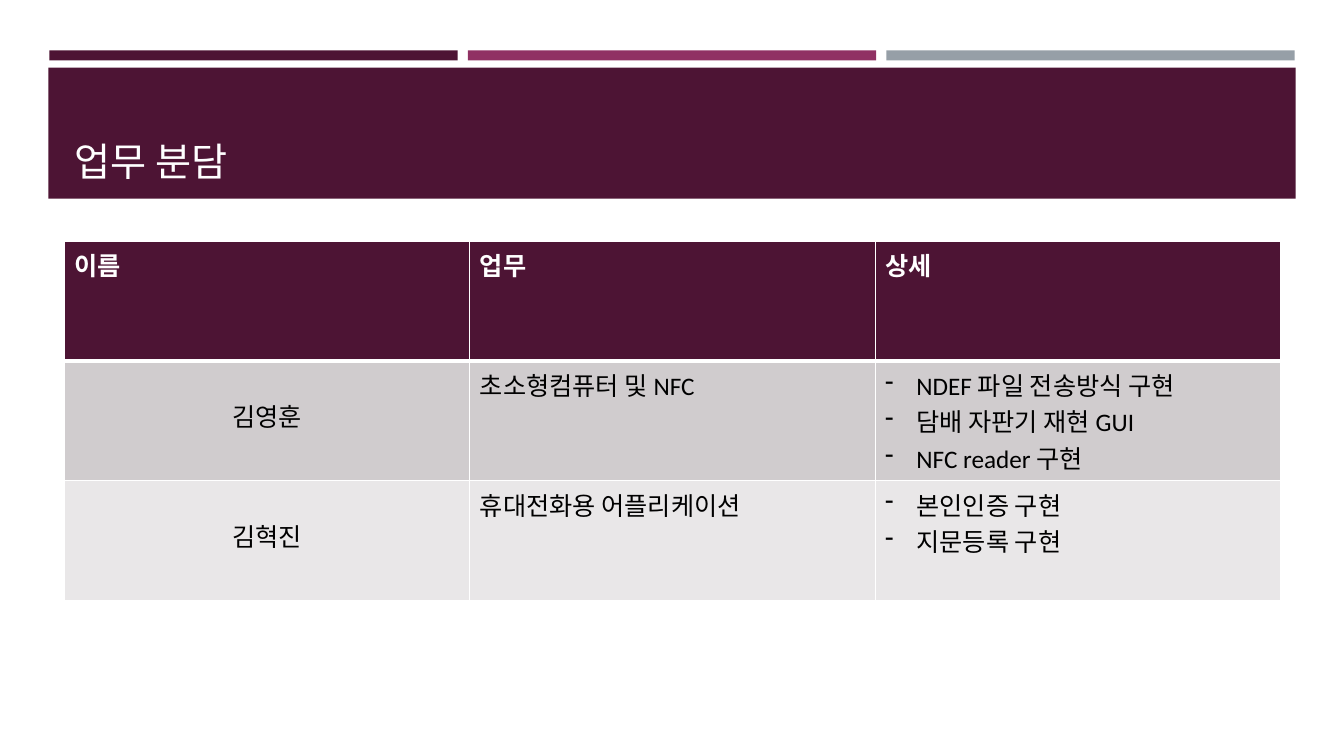
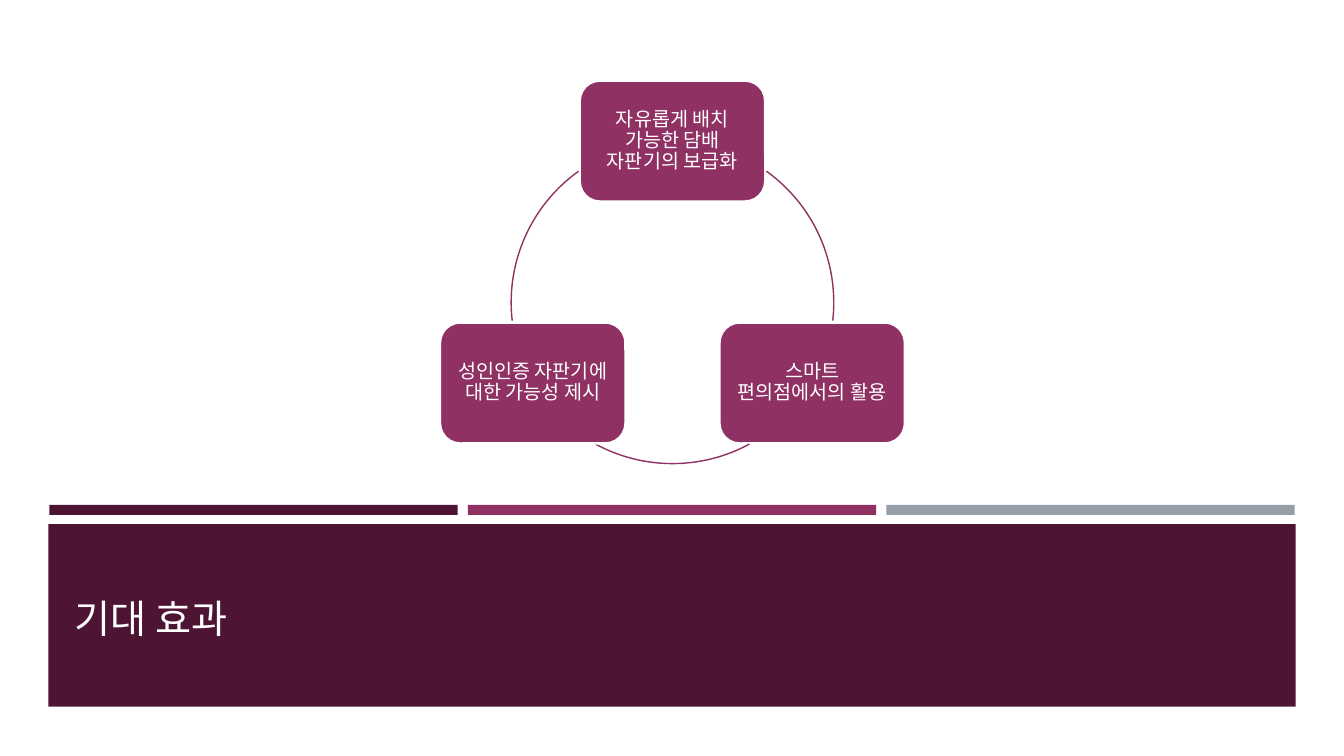
from dataclasses import dataclass
from math import cos, radians, sin

from lxml.etree import SubElement
from pptx import Presentation
from pptx.dml.color import RGBColor
from pptx.enum.shapes import MSO_SHAPE as Preset
from pptx.enum.text import MSO_ANCHOR as Anchor, MSO_AUTO_SIZE as AutoSize, PP_ALIGN as Align
from pptx.oxml.ns import qn
from pptx.util import Inches, Pt

COLORS = {
    "plum": "4D1434",
    "berry": "903163",
    "steel": "969FA7",
    "white": "FFFFFF",
    "black": "000000",
    "row_dark": "D0CCCE",
    "row_light": "E9E7E8",
}
FONT = "Calibri"
TITLE_ONLY = 5
MARGIN = 0.64
CONTENT_WIDTH = 12.06


@dataclass(frozen=True)
class Duty:
    name: str
    task: str
    details: tuple[str, ...]
    fill: str


@dataclass(frozen=True)
class Effect:
    text: str
    angle: float
    arc_start: float
    arc_end: float


DUTIES = (
    Duty("김영훈", "초소형컴퓨터 및 NFC",
         ("NDEF 파일 전송방식 구현", "담배 자판기 재현 GUI", "NFC reader 구현"), "row_dark"),
    Duty("김혁진", "휴대전화용 어플리케이션",
         ("본인인증 구현", "지문등록 구현"), "row_light"),
)
EFFECTS = (
    Effect("자유롭게 배치 가능한 담배 자판기의 보급화", -90, 305.6, 6.5),
    Effect("스마트 편의점에서의 활용", 30, 61.5, 118.5),
    Effect("성인인증 자판기에 대한 가능성 제시", 150, 173.5, 234.4),
)


def rgb(name: str) -> RGBColor:
    return RGBColor.from_string(COLORS[name])


def write(frame, *lines: str, size: float, color: str, bold: bool = False,
          align=Align.LEFT, spacing: float = 1.0, bullet: str = "") -> None:
    frame.word_wrap = True
    for index, line in enumerate(lines):
        para = frame.paragraphs[0] if index == 0 else frame.add_paragraph()
        para.alignment = align
        para.line_spacing = spacing
        if bullet:
            props = para._p.get_or_add_pPr()
            props.set("marL", str(Inches(0.31)))
            props.set("indent", str(-Inches(0.31)))
            SubElement(props, qn("a:buFontTx"))
            SubElement(props, qn("a:buChar"), char=bullet)
        span = para.add_run()
        span.text = line
        span.font.name = FONT
        span.font.size = Pt(size)
        span.font.bold = bold
        span.font.color.rgb = rgb(color)


def add_shape(page, preset, left: float, top: float, width: float, height: float,
              fill: str = "", line: str = "", weight: float = 1):
    shape = page.shapes.add_shape(
        preset, Inches(left), Inches(top), Inches(width), Inches(height))
    shape.shadow.inherit = False
    if fill:
        shape.fill.solid()
        shape.fill.fore_color.rgb = rgb(fill)
    else:
        shape.fill.background()
    if line:
        shape.line.color.rgb = rgb(line)
        shape.line.width = Pt(weight)
    else:
        shape.line.fill.background()
    return shape


def add_page(deck, title: str, bar_top: float, band_top: float, band_height: float):
    page = deck.slides.add_slide(deck.slide_layouts[TITLE_ONLY])
    for column, color in enumerate(("plum", "berry", "steel")):
        add_shape(page, Preset.RECTANGLE, 0.49 + 4.15 * column, bar_top, 4.05, 0.1, color)
    add_shape(page, Preset.RECTANGLE, 0.48, band_top, 12.37, band_height, "plum")

    box = page.shapes.title
    box.left, box.top = Inches(MARGIN), Inches(band_top + 0.1)
    box.width, box.height = Inches(CONTENT_WIDTH), Inches(1.11)
    frame = box.text_frame
    frame.auto_size = AutoSize.NONE
    frame.vertical_anchor = Anchor.BOTTOM
    write(frame, title, size=28, color="white")
    page.shapes._spTree.append(box._element)
    return page


def style_cell(cell, fill: str, top: float, bottom: float) -> None:
    props = cell._tc.get_or_add_tcPr()
    for side, weight in (("L", 1), ("R", 1), ("T", top), ("B", bottom)):
        border = SubElement(props, qn(f"a:ln{side}"), w=str(Pt(weight)))
        paint = SubElement(border, qn("a:solidFill"))
        SubElement(paint, qn("a:srgbClr"), val=COLORS["white"])
    cell.fill.solid()
    cell.fill.fore_color.rgb = rgb(fill)


def add_duty_table(page) -> None:
    headings = ("이름", "업무", "상세")
    table = page.shapes.add_table(
        len(DUTIES) + 1, len(headings), Inches(MARGIN), Inches(2.39),
        Inches(CONTENT_WIDTH), Inches(3.57)).table
    for column, heading in enumerate(headings):
        cell = table.cell(0, column)
        style_cell(cell, "plum", top=1, bottom=3)
        write(cell.text_frame, heading, size=18, color="white", bold=True)
    for row, duty in enumerate(DUTIES, start=1):
        cells = [table.cell(row, column) for column in range(len(headings))]
        for cell in cells:
            style_cell(cell, duty.fill, top=3 if row == 1 else 1, bottom=1)
        name, task, details = cells
        name.vertical_anchor = Anchor.MIDDLE
        name.margin_bottom = Inches(0.15)
        write(name.text_frame, duty.name, size=18, color="black", align=Align.CENTER)
        write(task.text_frame, duty.task, size=18, color="black")
        write(details.text_frame, *duty.details, size=18, color="black", bullet="-")


def add_effect_cycle(page) -> None:
    center_x, center_y, radius = 6.67, 3.0, 1.6
    width, height = 1.84, 1.2
    for effect in EFFECTS:
        x = center_x + radius * cos(radians(effect.angle))
        y = center_y + radius * sin(radians(effect.angle))
        box = add_shape(page, Preset.ROUNDED_RECTANGLE, x - width / 2, y - height / 2,
                        width, height, "berry", "white", 1.75)
        frame = box.text_frame
        frame.margin_left = frame.margin_right = Inches(0.06)
        frame.margin_top = frame.margin_bottom = Inches(0.06)
        frame.vertical_anchor = Anchor.MIDDLE
        write(frame, effect.text, size=14, color="white", align=Align.CENTER, spacing=0.9)

        arc = add_shape(page, Preset.ARC, center_x - radius, center_y - radius,
                        2 * radius, 2 * radius, line="berry")
        arc.adjustments[0] = effect.arc_start * 0.6
        arc.adjustments[1] = effect.arc_end * 0.6


def main() -> None:
    deck = Presentation()
    deck.slide_width, deck.slide_height = Inches(13.33), Inches(7.5)
    add_duty_table(add_page(deck, "업무 분담", bar_top=0.5, band_top=0.67, band_height=1.3))
    add_effect_cycle(add_page(deck, "기대 효과", bar_top=5.01, band_top=5.2, band_height=1.81))
    deck.save("out.pptx")


if __name__ == "__main__":
    main()
